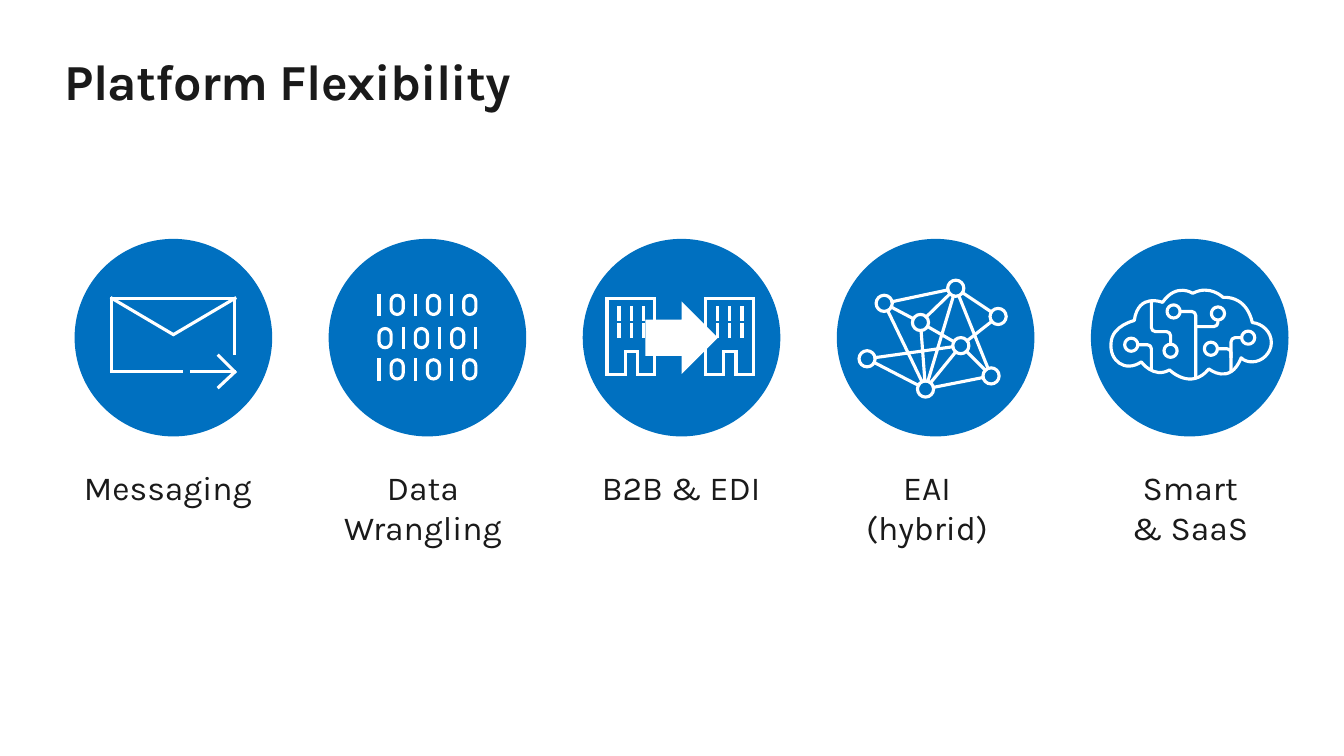
from math import dist
from lxml.etree import SubElement
from pptx import Presentation
from pptx.dml.color import RGBColor
from pptx.enum.shapes import MSO_SHAPE
from pptx.enum.text import PP_ALIGN
from pptx.oxml.ns import qn
from pptx.util import Inches, Pt

BLUE = RGBColor(0x00, 0x70, 0xC0)
WHITE = RGBColor(0xFF, 0xFF, 0xFF)
INK = RGBColor(0x1A, 0x1A, 0x1A)
FONT = "Karla"

TITLE = "Platform Flexibility"
LABELS = [
    (["Messaging"], 0.51, 0.73),
    (["Data Wrangling"], 3.04, 1.15),
    (["B2B & EDI"], 5.6, 0.73),
    (["EAI", "(hybrid)"], 8.04, 1.15),
    (["Smart", "& SaaS"], 10.65, 1.15),
]
CIRCLE_LEFT, CIRCLE_TOP, CIRCLE_SIZE, CIRCLE_STEP = 0.74, 2.37, 1.96, 2.52

ENVELOPE = [
    [(1.8, 3.69), (1.11, 3.69), (1.11, 2.96), (2.33, 2.96), (2.33, 3.51)],
    [(1.11, 2.96), (1.72, 3.32), (2.33, 2.96)],
    [(1.9, 3.69), (2.33, 3.69)],
    [(2.17, 3.84), (2.33, 3.69), (2.17, 3.53)],
]
BINARY_ROWS = [("101010", 2.93), ("010101", 3.26), ("101010", 3.57)]
BINARY_LEFT, DIGIT_WIDTH, DIGIT_HEIGHT = 3.76, 0.12, 0.19

BUILDING_LEFTS, BUILDING_TOP = [6.02, 7.0], 2.96
BUILDING_WALL = [(0, 0), (0.47, 0), (0.47, 0.76), (0.3, 0.76), (0.3, 0.53),
                 (0.18, 0.53), (0.18, 0.76), (0, 0.76), (0, 0)]
WINDOW_COLUMNS, WINDOW_ROWS, WINDOW_HEIGHT = [0.12, 0.24, 0.36], [0.09, 0.26], 0.12

NETWORK_NODE_SIZE = 0.16
NETWORK_NODES = [(9.48, 2.86), (9.9, 3.14), (9.53, 3.43), (9.83, 3.73),
                 (9.18, 3.86), (8.6, 3.56), (9.13, 3.2), (8.77, 3.01)]
NETWORK_LINKS = [(7, 6), (6, 2), (2, 5), (5, 4), (4, 3), (0, 7), (0, 1), (1, 2),
                 (4, 2), (0, 4), (6, 4), (4, 7), (6, 0), (0, 3), (2, 3)]

BRAIN_NODE_SIZE, WIRE_RADIUS = 0.13, 0.04
BRAIN_OUTLINE = [
    (12.31, 3.55),
    (12.34, 3.58), (12.38, 3.59), (12.42, 3.59),
    (12.52, 3.59), (12.61, 3.5), (12.61, 3.4),
    (12.61, 3.29), (12.52, 3.21), (12.42, 3.2),
    (12.42, 3.2), (12.38, 2.94), (12.13, 2.95),
    (12.13, 2.95), (12, 2.82), (11.83, 2.91),
    (11.83, 2.91), (11.67, 2.8), (11.53, 3),
    (11.53, 3), (11.29, 2.9), (11.25, 3.18),
    (11.25, 3.18), (11.03, 3.23), (11.02, 3.4),
    (11, 3.58), (11.16, 3.7), (11.32, 3.59),
    (11.32, 3.59), (11.44, 3.76), (11.6, 3.67),
    (11.6, 3.67), (11.81, 3.88), (11.99, 3.66),
    (11.99, 3.66), (12.2, 3.83), (12.31, 3.55),
]
BRAIN_WIRES = [
    [(11.42, 3.67), (11.42, 3.42), (11.29, 3.42)],
    [(11.86, 3.75), (11.86, 3.09), (11.7, 3.09)],
    [(11.86, 3.24), (12.08, 3.24), (12.08, 3.18)],
    [(11.42, 2.98), (11.42, 3.29), (11.61, 3.29), (11.61, 3.42)],
    [(12.32, 3.35), (12.21, 3.35), (12.21, 3.55)],
    [(12.21, 3.69), (12.21, 3.46), (12.08, 3.46)],
]
BRAIN_NODES = [(12.38, 3.35), (12.01, 3.46), (11.64, 3.09),
               (12.08, 3.11), (11.61, 3.48), (11.22, 3.42)]


def add_text(slide, lines, box, size, align=PP_ALIGN.LEFT, bold=False,
             spacing=0, insets=(0, 0, 0, 0)):
    frame = slide.shapes.add_textbox(*map(Inches, box)).text_frame
    frame.word_wrap = True
    (frame.margin_left, frame.margin_top,
     frame.margin_right, frame.margin_bottom) = map(Inches, insets)
    for index, line in enumerate(lines):
        paragraph = frame.paragraphs[0] if index == 0 else frame.add_paragraph()
        paragraph.alignment = align
        run = paragraph.add_run()
        run.text = line
        run.font.name = FONT
        run.font.size = Pt(size)
        run.font.bold = bold
        run.font.color.rgb = INK
        if spacing:
            run._r.get_or_add_rPr().set("spc", str(int(spacing * 100)))


def set_fill(shape, fill):
    shape.shadow.inherit = False
    if fill is None:
        shape.fill.background()
    else:
        shape.fill.solid()
        shape.fill.fore_color.rgb = fill


def add_solid(slide, kind, box, fill):
    shape = slide.shapes.add_shape(kind, *map(Inches, box))
    set_fill(shape, fill)
    shape.line.fill.background()


def add_icon(slide, strokes, fill=None, curved=False, sharp=True):
    strokes = [[(Inches(x), Inches(y)) for x, y in stroke] for stroke in strokes]
    builder = slide.shapes.build_freeform(*strokes[0][0])
    for index, stroke in enumerate(strokes):
        if index:
            builder.move_to(*stroke[0])
        builder.add_line_segments(stroke[1:], close=curved and stroke[0] == stroke[-1])
    shape = builder.convert_to_shape()
    set_fill(shape, fill)
    shape.line.color.rgb = WHITE
    shape.line.width = Pt(2.25)
    outline = shape.line._get_or_add_ln()
    outline.set("cap", "sq" if sharp else "flat")
    if sharp:
        SubElement(outline, qn("a:miter"), lim="800000")
    else:
        SubElement(outline, qn("a:round"))
    if curved:
        segments = list(shape._element.iter(qn("a:lnTo")))
        for first, second, end in zip(segments[::3], segments[1::3], segments[2::3]):
            first.tag = qn("a:cubicBezTo")
            for segment in (second, end):
                first.append(segment[0])
                segment.getparent().remove(segment)


def toward(start, end, length):
    share = length / dist(start, end)
    return tuple(a + (b - a) * share for a, b in zip(start, end))


def route(corners, radius=0):
    points = [corners[0]]
    for before, corner, after in zip(corners, corners[1:], corners[2:]):
        entry, leave = toward(corner, before, radius), toward(corner, after, radius)
        if dist(points[-1], entry) > 0.001:
            points += [entry] * 3
        points += [toward(corner, before, radius * 0.45),
                   toward(corner, after, radius * 0.45), leave]
    if dist(points[-1], corners[-1]) > 0.001:
        points += [corners[-1]] * 3
    else:
        points[-1] = corners[-1]
    return points


def ring(left, top, width, height):
    right, bottom, middle = left + width, top + height, top + height / 2
    return route([(left, middle), (left, top), (right, top), (right, bottom),
                  (left, bottom), (left, middle)], width / 2)


def rings(centers, size):
    return [ring(x - size / 2, y - size / 2, size, size) for x, y in centers]


def binary_strokes():
    strokes = []
    for digits, top in BINARY_ROWS:
        left = BINARY_LEFT
        for digit in digits:
            if digit == "1":
                strokes.append(route([(left, top), (left, top + DIGIT_HEIGHT)]))
                left += DIGIT_WIDTH
            else:
                strokes.append(ring(left, top, DIGIT_WIDTH, DIGIT_HEIGHT))
                left += 2 * DIGIT_WIDTH
    return strokes


def network_strokes():
    strokes = rings(NETWORK_NODES, NETWORK_NODE_SIZE)
    for first, second in NETWORK_LINKS:
        start, end = NETWORK_NODES[first], NETWORK_NODES[second]
        strokes.append(route([toward(start, end, NETWORK_NODE_SIZE / 2),
                              toward(end, start, NETWORK_NODE_SIZE / 2)]))
    return strokes


def main():
    presentation = Presentation()
    presentation.slide_width, presentation.slide_height = Inches(13.33), Inches(7.5)
    slide = presentation.slides.add_slide(presentation.slide_layouts[6])
    add_text(slide, [TITLE], (0.64, 0.5, 12.05, 0.61), 36, bold=True, spacing=-0.5)
    for index, (lines, left, height) in enumerate(LABELS):
        add_solid(slide, MSO_SHAPE.OVAL, (CIRCLE_LEFT + index * CIRCLE_STEP, CIRCLE_TOP,
                                          CIRCLE_SIZE, CIRCLE_SIZE), BLUE)
        add_text(slide, lines, (left, 4.47, 2.41, height), 24, align=PP_ALIGN.CENTER,
                 insets=(0.1, 0.16, 0.2, 0.16))
    add_icon(slide, ENVELOPE)
    add_icon(slide, binary_strokes(), curved=True)
    windows = [[(x, y), (x, y + WINDOW_HEIGHT)] for y in WINDOW_ROWS for x in WINDOW_COLUMNS]
    for left in BUILDING_LEFTS:
        add_icon(slide, [[(left + x, BUILDING_TOP + y) for x, y in stroke]
                         for stroke in [BUILDING_WALL] + windows])
    add_solid(slide, MSO_SHAPE.RIGHT_ARROW, (6.4, 2.99, 0.72, 0.72), WHITE)
    add_icon(slide, network_strokes(), BLUE, curved=True)
    brain = rings(BRAIN_NODES, BRAIN_NODE_SIZE) + [BRAIN_OUTLINE]
    brain += [route(wire, WIRE_RADIUS) for wire in BRAIN_WIRES]
    add_icon(slide, brain, BLUE, curved=True, sharp=False)
    presentation.save("out.pptx")


if __name__ == "__main__":
    main()
